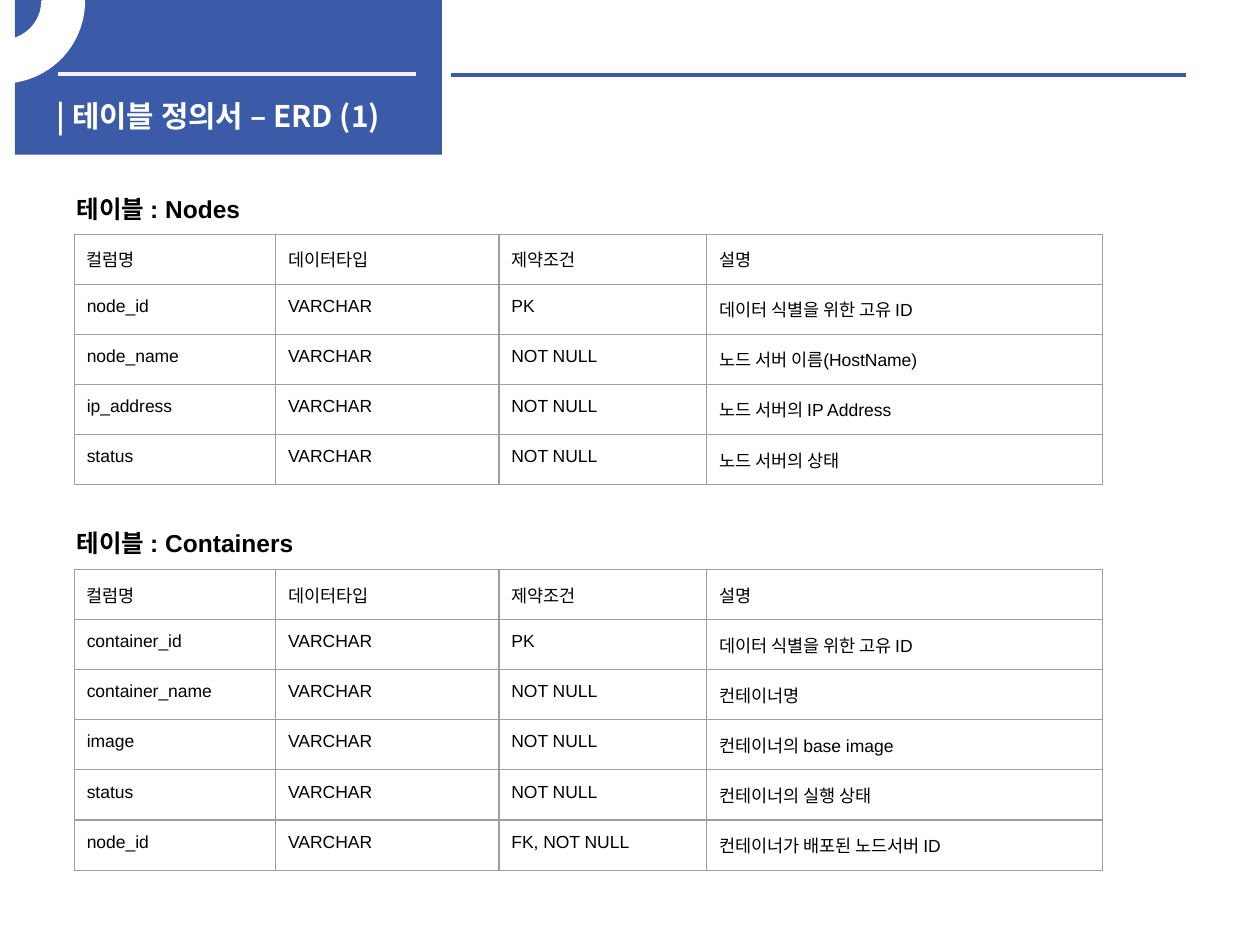
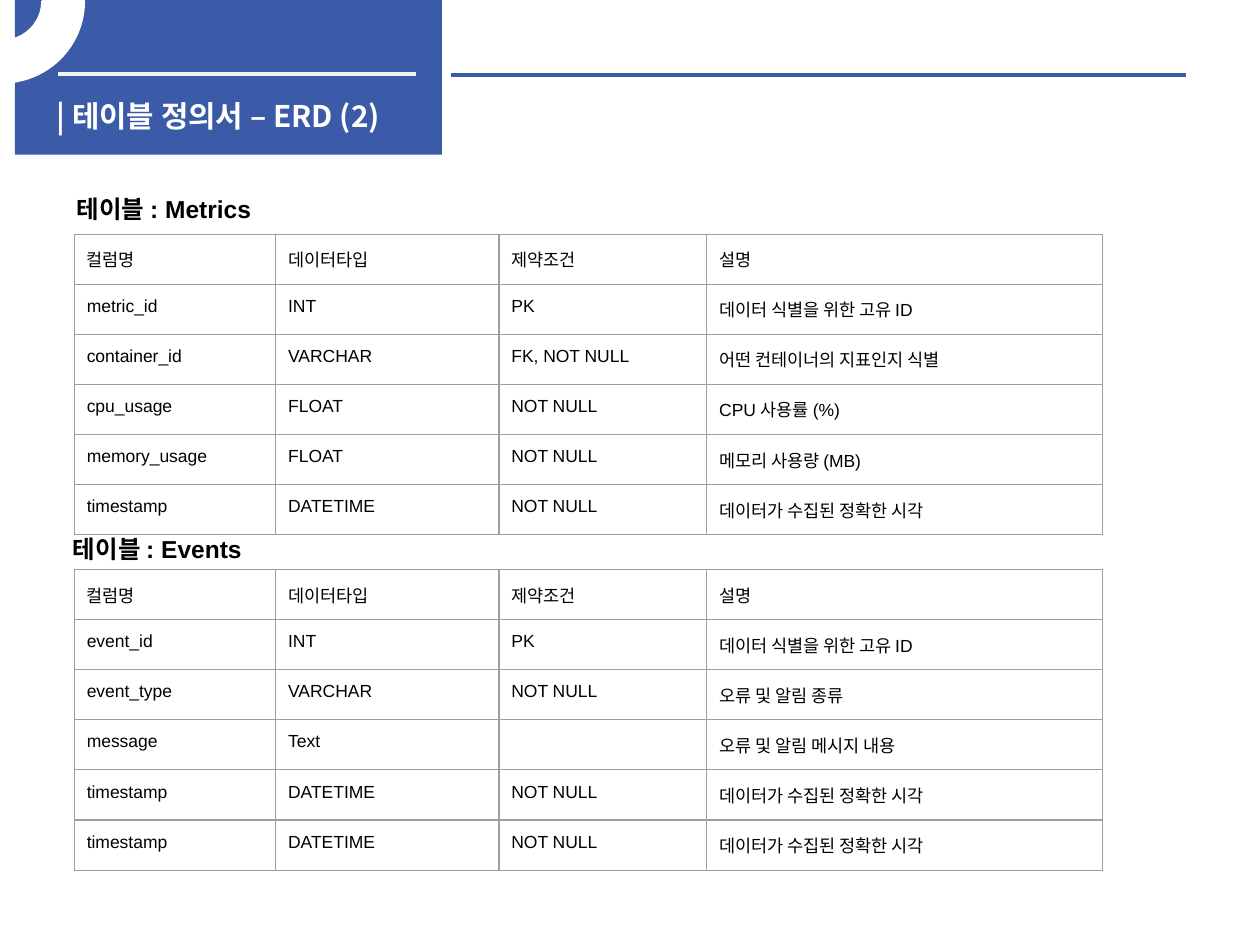
from lxml import etree
from pptx import Presentation, util as u
from pptx.dml.color import RGBColor
from pptx.enum import shapes, text
from pptx.oxml.ns import qn

COLORS = {"blue": "3B5AA8", "white": "FFFFFF", "pale": "F2F2F2",
          "black": "000000", "grid": "9E9E9E"}
LATIN, KOREAN = "Arial", "Noto Sans CJK KR"

HEADER = ("컬럼명", "데이터타입", "제약조건", "설명")
COLUMN_WIDTHS = (4.06, 4.5, 4.19, 7.98)
ROW_HEIGHT = 1.01
TABLE_LEFT = 1.5
TABLE_TOPS = (4.72, 11.48)

ID_NOTE = "데이터 식별을 위한 고유 ID"
TIMESTAMP = ("timestamp", "DATETIME", "NOT NULL", "데이터가 수집된 정확한 시각")

# Each slide: (table name, heading left, heading top, heading width, rows)
SLIDES = [
    [
        ("Nodes", 1.3, 3.78, 3.96, [
            ("node_id", "VARCHAR", "PK", ID_NOTE),
            ("node_name", "VARCHAR", "NOT NULL", "노드 서버 이름(HostName)"),
            ("ip_address", "VARCHAR", "NOT NULL", "노드 서버의 IP Address"),
            ("status", "VARCHAR", "NOT NULL", "노드 서버의 상태"),
        ]),
        ("Containers", 1.3, 10.52, 5.05, [
            ("container_id", "VARCHAR", "PK", ID_NOTE),
            ("container_name", "VARCHAR", "NOT NULL", "컨테이너명"),
            ("image", "VARCHAR", "NOT NULL", "컨테이너의 base image"),
            ("status", "VARCHAR", "NOT NULL", "컨테이너의 실행 상태"),
            ("node_id", "VARCHAR", "FK, NOT NULL", "컨테이너가 배포된 노드서버 ID"),
        ]),
    ],
    [
        ("Metrics", 1.3, 3.78, 4.19, [
            ("metric_id", "INT", "PK", ID_NOTE),
            ("container_id", "VARCHAR", "FK, NOT NULL", "어떤 컨테이너의 지표인지 식별"),
            ("cpu_usage", "FLOAT", "NOT NULL", "CPU 사용률 (%)"),
            ("memory_usage", "FLOAT", "NOT NULL", "메모리 사용량 (MB)"),
            TIMESTAMP,
        ]),
        ("Events", 1.22, 10.64, 4.09, [
            ("event_id", "INT", "PK", ID_NOTE),
            ("event_type", "VARCHAR", "NOT NULL", "오류 및 알림 종류"),
            ("message", "Text", "", "오류 및 알림 메시지 내용"),
            TIMESTAMP,
            TIMESTAMP,
        ]),
    ],
]


def rgb(name):
    return RGBColor.from_string(COLORS[name])


class Deck:
    """Holds the style and the slide being drawn; lengths are centimetres."""

    def __init__(self):
        self.prs = Presentation()
        self.prs.slide_width, self.prs.slide_height = u.Cm(25.4), u.Cm(19.05)
        self.s = None

    def new_slide(self):
        self.s = self.prs.slides.add_slide(self.prs.slide_layouts[6])

    def set_text(self, p, words, size, color="black", font=LATIN, bold=False):
        p.text = words
        p.font.size, p.font.bold, p.font.name = u.Pt(size), bold, font
        p.font.color.rgb = rgb(color)
        props = p._p.get_or_add_pPr().find(qn("a:defRPr"))
        etree.SubElement(props, qn("a:ea"), typeface=KOREAN)

    def shape(self, kind, left, top, width, height, fill):
        sp = self.s.shapes.add_shape(
            kind, u.Cm(left), u.Cm(top), u.Cm(width), u.Cm(height))
        sp.shadow.inherit = False
        sp.fill.solid()
        sp.fill.fore_color.rgb = rgb(fill)
        sp.line.fill.background()
        return sp

    def corner_ring(self):
        sp = self.shape(shapes.MSO_SHAPE.BLOCK_ARC, -1.6, -1.6, 3.28, 3.25, "white")
        for i, value in enumerate((161.587, 0, 0.25)):
            sp.adjustments[i] = value
        sp.line.color.rgb = rgb("white")
        sp.line.width = u.Pt(2)
        sp.rotation = 180
        sp._element.spPr.find(qn("a:xfrm")).set("flipH", "1")

    def rule(self, x1, x2, y, color):
        line = self.s.shapes.add_connector(
            shapes.MSO_CONNECTOR.STRAIGHT, u.Cm(x1), u.Cm(y), u.Cm(x2), u.Cm(y))
        line.line.color.rgb = rgb(color)
        line.line.width = u.Pt(2.25)
        etree.SubElement(line._element.spPr, qn("a:effectLst"))

    def label(self, words, left, top, width, height, size, wrap=False, **style):
        box = self.s.shapes.add_textbox(
            u.Cm(left), u.Cm(top), u.Cm(width), u.Cm(height))
        tf = box.text_frame
        tf.word_wrap = wrap
        self.set_text(tf.paragraphs[0], words, size, bold=True, **style)
        return tf

    def banner(self, title):
        self.shape(shapes.MSO_SHAPE.RECTANGLE, 0.3, 0, 8.61, 3.12, "blue")
        self.rule(1.17, 8.38, 1.5, "pale")
        self.rule(9.09, 23.9, 1.52, "blue")
        tf = self.label(title, 0.89, 1.93, 8, 0.81, 17, wrap=True,
                        color="white", font=KOREAN)
        tf.vertical_anchor = text.MSO_ANCHOR.MIDDLE
        self.corner_ring()

    def border(self, cell):
        props = cell._tc.get_or_add_tcPr()
        for side in ("lnL", "lnR", "lnT", "lnB"):
            ln = etree.SubElement(props, qn(f"a:{side}"), w=str(u.Pt(0.75)))
            fill = etree.SubElement(ln, qn("a:solidFill"))
            etree.SubElement(fill, qn("a:srgbClr"), val=COLORS["grid"])

    def table(self, top, rows):
        frame = self.s.shapes.add_table(
            len(rows), len(COLUMN_WIDTHS), u.Cm(TABLE_LEFT), u.Cm(top),
            u.Cm(sum(COLUMN_WIDTHS)), u.Cm(ROW_HEIGHT * len(rows)))
        table = frame.table
        table.first_row = table.horz_banding = False
        for column, width in zip(table.columns, COLUMN_WIDTHS):
            column.width = u.Cm(width)
        for row, values in zip(table.rows, rows):
            row.height = u.Cm(ROW_HEIGHT)
            for cell, value in zip(row.cells, values):
                cell.margin_left = cell.margin_right = u.Cm(0.25)
                cell.margin_top = cell.margin_bottom = u.Cm(0.25)
                self.border(cell)
                cell.fill.background()
                self.set_text(cell.text_frame.paragraphs[0], value, 10)


def main():
    deck = Deck()
    for number, tables in enumerate(SLIDES, 1):
        deck.new_slide()
        deck.banner(f"| 테이블 정의서 – ERD ({number})")
        for table_top, (name, left, top, width, rows) in zip(TABLE_TOPS, tables):
            deck.table(table_top, [HEADER, *rows])
            deck.label(f"테이블 : {name}", left, top, width, 0.86, 14)
    deck.prs.save("out.pptx")


if __name__ == "__main__":
    main()
